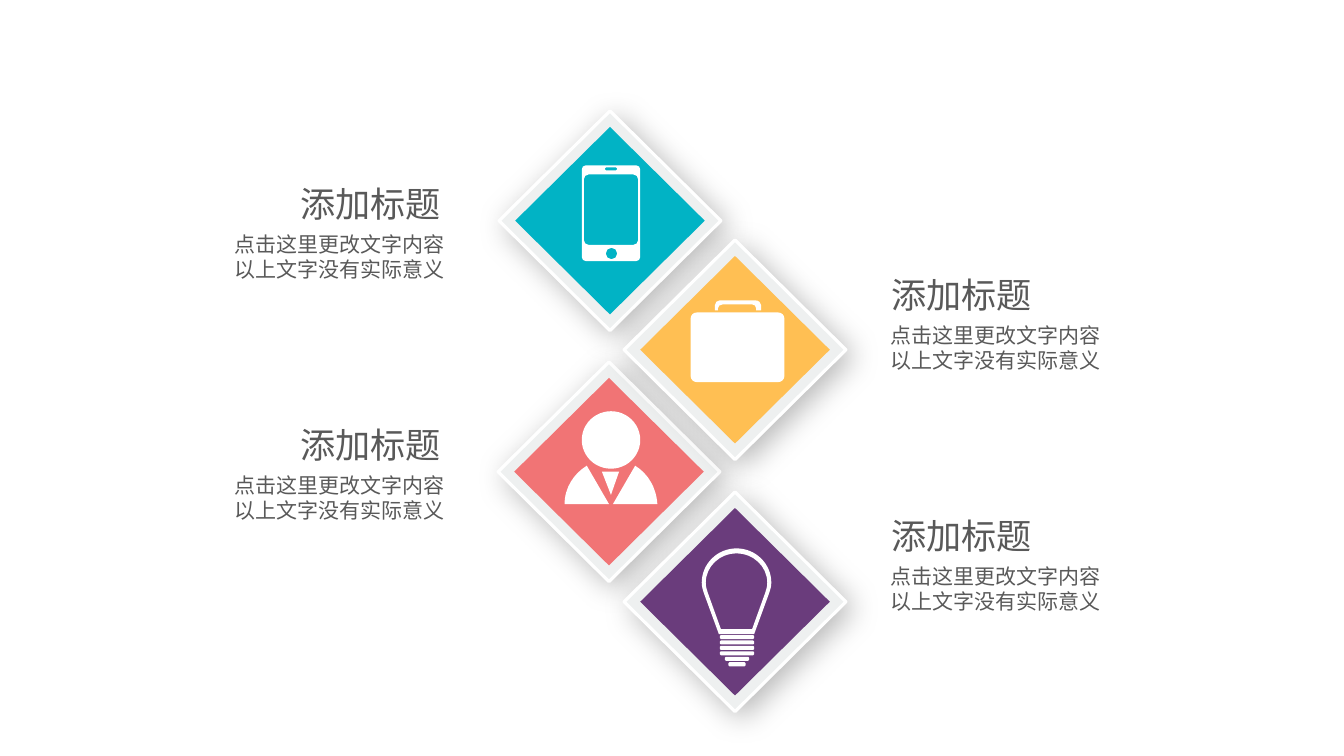
import pptx
import pptx.dml.color
import pptx.enum.shapes
import pptx.enum.text
import pptx.oxml
import pptx.oxml.ns
import pptx.util
from lxml import etree

Inches = pptx.util.Inches
Preset = pptx.enum.shapes.MSO_SHAPE
Align = pptx.enum.text.PP_ALIGN
qn = pptx.oxml.ns.qn

WHITE, FRAME, GREY = "FFFFFF", "EEF0F0", "595959"
TEAL, CORAL, AMBER, PURPLE = "01B3C5", "F17475", "FFBF53", "6A3C7C"
HEADING = "添加标题"
DETAILS = ["点击这里更改文字内容", "以上文字没有实际意义"]


def colour(hex_text):
    return pptx.dml.color.RGBColor.from_string(hex_text)


def bend(start, corner, end):
    first, second = [tuple(p + (c - p) * 0.55 for p, c in zip(point, corner))
                     for point in (start, end)]
    return first, second, end


def rounded(left, top, right, bottom, radius):
    x1, x2, y1, y2 = left + radius, right - radius, top + radius, bottom - radius
    return [(x1, top), (x2, top), bend((x2, top), (right, top), (right, y1)),
            (right, y2), bend((right, y2), (right, bottom), (x2, bottom)),
            (x1, bottom), bend((x1, bottom), (left, bottom), (left, y2)),
            (left, y1), bend((left, y1), (left, top), (x1, top))]


def glass(left, top, right, bottom, neck_left, neck_right):
    middle = (left + right) / 2
    return [(middle, top), bend((middle, top), (left, top), (left, 5.78)),
            ((left, 5.82), (left + 0.01, 5.85), (left + 0.02, 5.88)),
            (neck_left, bottom), (neck_right, bottom), (right - 0.02, 5.88),
            ((right - 0.01, 5.85), (right, 5.82), (right, 5.78)),
            bend((right, 5.78), (right, top), (middle, top))]


class Sketch:
    """Holds the style, the current slide and the group being filled."""

    def __init__(self, page):
        self.page = page
        self.shapes = page.shapes
        self.font = "Noto Sans CJK SC"

    def paint(self, shape, fill):
        shape.shadow.inherit = False
        shape.fill.solid()
        shape.fill.fore_color.rgb = colour(fill)
        shape.line.fill.background()
        return shape

    def preset(self, kind, left, top, width, height, fill=WHITE):
        shape = self.shapes.add_shape(
            kind, Inches(left), Inches(top), Inches(width), Inches(height))
        return self.paint(shape, fill)

    def outline(self, *contours):
        builder, steps = None, []
        for start, *moves in contours:
            corner = [Inches(value) for value in start]
            if builder is None:
                builder = self.shapes.build_freeform(*corner)
            else:
                builder.move_to(*corner)
            moves = [move if isinstance(move[0], tuple) else (move,) for move in moves]
            builder.add_line_segments(
                [(Inches(x), Inches(y)) for move in moves for x, y in move])
            steps += moves
        shape = builder.convert_to_shape()
        lines = iter(list(shape._element.spPr.iter(qn("a:lnTo"))))
        for step in steps:
            segment = next(lines)
            if len(step) == 3:
                curve = etree.Element(qn("a:cubicBezTo"))
                segment.addprevious(curve)
                for line in (segment, next(lines), next(lines)):
                    curve.append(line[0])
                    line.getparent().remove(line)
        return self.paint(shape, WHITE)

    def cast_shadow(self, shape):
        effects = shape._element.spPr.find(qn("a:effectLst"))
        shadow = etree.SubElement(
            effects, qn("a:outerShdw"), blurRad=str(pptx.util.Pt(22)),
            dist=str(pptx.util.Pt(6)), dir="2700000", algn="tl", rotWithShape="0")
        black = etree.SubElement(shadow, qn("a:srgbClr"), val="000000")
        etree.SubElement(black, qn("a:alpha"), val="28000")

    def tile(self, left, top, fill):
        self.shapes = self.page.shapes.add_group_shape().shapes
        frame = self.preset(Preset.DIAMOND, left, top, 2.2, 2.18, FRAME)
        frame.line.color.rgb = colour(WHITE)
        frame.line.width = pptx.util.Pt(2.25)
        self.cast_shadow(frame)
        self.preset(Preset.DIAMOND, left + 0.16, top + 0.16, 1.88, 1.86, fill)

    def text(self, left, top, width, height, lines, size, face, align, wrap):
        box = self.page.shapes.add_textbox(
            Inches(left), Inches(top), Inches(width), Inches(height))
        frame = box.text_frame
        frame.word_wrap = wrap
        frame.auto_size = pptx.enum.text.MSO_AUTO_SIZE.SHAPE_TO_FIT_TEXT
        frame.text = "\n".join(lines)
        for para in frame.paragraphs:
            para.alignment = align
            para.font.size = pptx.util.Pt(size)
            para.font.color.rgb = colour(GREY)
            para.font.name = face
            etree.SubElement(para.font._rPr, qn("a:ea"), typeface=self.font)

    def caption(self, heading_left, detail_left, top, align):
        self.text(heading_left, top, 1.61, 0.52, [HEADING], 25.1, "Arial", align, False)
        self.text(detail_left, top + 0.49, 2.5, 0.61, DETAILS, 15, self.font, align, True)

    def phone(self):
        self.outline(rounded(5.77, 1.64, 6.35, 2.59, 0.04),
                     rounded(6, 1.66, 6.12, 1.69, 0.01),
                     rounded(6.01, 2.46, 6.12, 2.57, 0.05),
                     rounded(5.79, 1.73, 6.33, 2.43, 0.05))

    def person(self):
        self.outline([(5.82, 4.62), ((5.69, 4.7), (5.6, 4.84), (5.6, 5)), (6.04, 5)])
        self.outline([(6.3, 4.62), (6.08, 5), (6.52, 5),
                      ((6.51, 4.84), (6.43, 4.7), (6.3, 4.62))])
        self.preset(Preset.OVAL, 5.77, 4.08, 0.58, 0.57)
        self.outline([(5.97, 4.68), (6.06, 4.91), (6.14, 4.68)])

    def briefcase(self):
        self.outline(rounded(6.85, 3.1, 7.78, 3.79, 0.06))
        self.outline([(7.12, 3.08), (7.12, 3.06),
                      bend((7.12, 3.06), (7.12, 3.02), (7.17, 3.02)), (7.46, 3.02),
                      bend((7.46, 3.02), (7.5, 3.02), (7.5, 3.06)), (7.5, 3.08),
                      (7.55, 3.08), (7.55, 3.03),
                      bend((7.55, 3.03), (7.55, 2.98), (7.49, 2.98)), (7.14, 2.98),
                      bend((7.14, 2.98), (7.09, 2.98), (7.09, 3.03)), (7.09, 3.08)])

    def bulb(self):
        self.outline(glass(6.96, 5.44, 7.65, 6.29, 7.13, 7.48),
                     glass(7, 5.49, 7.61, 6.24, 7.15, 7.46))
        for row, width in enumerate([0.34, 0.34, 0.34, 0.34, 0.24, 0.17]):
            left, top = 7.31 - width / 2, 6.3 + row * 0.054
            self.outline(rounded(left, top, left + width, top + 0.04, 0.01))


def main():
    deck = pptx.Presentation()
    deck.slide_width, deck.slide_height = Inches(13.33), Inches(7.5)
    sketch = Sketch(deck.slides.add_slide(deck.slide_layouts[6]))
    for left, top, fill, icon in [(4.95, 1.1, TEAL, sketch.phone),
                                  (4.94, 3.59, CORAL, sketch.person),
                                  (6.19, 2.38, AMBER, sketch.briefcase),
                                  (6.19, 4.88, PURPLE, sketch.bulb)]:
        sketch.tile(left, top, fill)
        icon()
    for top in (1.76, 4.15):
        sketch.caption(2.87, 2.12, top, Align.CENTER)
    for top in (2.66, 5.05):
        sketch.caption(8.74, 8.73, top, Align.LEFT)
    deck.save("out.pptx")


if __name__ == "__main__":
    main()
